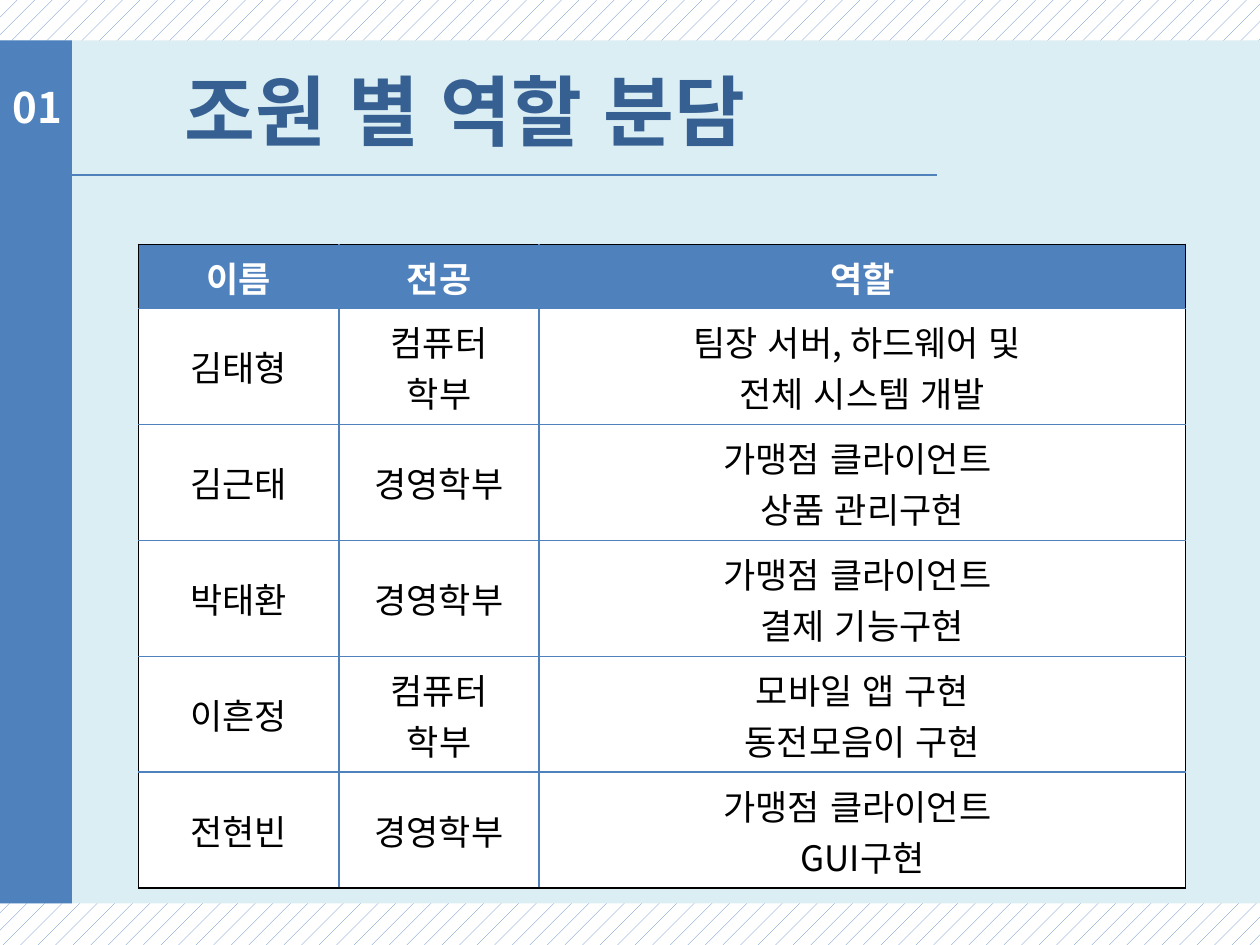
from typing import NamedTuple

from lxml.etree import SubElement
from pptx import Presentation
from pptx.dml.color import RGBColor
from pptx.enum.dml import MSO_PATTERN
from pptx.enum.lang import MSO_LANGUAGE_ID
from pptx.enum.shapes import MSO_CONNECTOR, MSO_SHAPE
from pptx.enum.text import MSO_ANCHOR, PP_ALIGN
from pptx.oxml.ns import qn
from pptx.slide import Slide
from pptx.table import _Cell
from pptx.text.text import TextFrame
from pptx.util import Inches, Pt

FONT = "Noto Sans CJK KR"
BLUE = RGBColor(0x4F, 0x81, 0xBD)
NAVY = RGBColor(0x37, 0x60, 0x92)
PALE = RGBColor(0xDB, 0xEE, 0xF4)
WHITE = RGBColor(0xFF, 0xFF, 0xFF)
BLACK = RGBColor(0, 0, 0)


class Box(NamedTuple):
    left: float
    top: float
    width: float
    height: float

    def lengths(self) -> list[Inches]:
        return [Inches(value) for value in self]


class Member(NamedTuple):
    name: str
    major: str
    role: str


HEADER = Member("이름", "전공", "역할")
MEMBERS = [
    Member("김태형", "컴퓨터\n학부", "팀장 서버, 하드웨어 및 \n전체 시스템 개발"),
    Member("김근태", "경영학부", "가맹점 클라이언트 \n상품 관리구현"),
    Member("박태환", "경영학부", "가맹점 클라이언트 \n결제 기능구현"),
    Member("이흔정", "컴퓨터\n학부", "모바일 앱 구현\n동전모음이 구현"),
    Member("전현빈", "경영학부", "가맹점 클라이언트 \nGUI구현"),
]
COLUMN_WIDTHS = [1.59, 1.59, 5.13]
ROW_HEIGHTS = [0.51] + [0.92] * len(MEMBERS)


def write(frame: TextFrame, text: str, size: int, color: RGBColor,
          bold: bool, align: PP_ALIGN) -> None:
    frame.text = text
    for paragraph in frame.paragraphs:
        paragraph.alignment = align
        font = paragraph.font
        font.name, font.size, font.bold = FONT, Pt(size), bold
        font.language_id = MSO_LANGUAGE_ID.KOREAN
        font.color.rgb = color
        # Hangul takes its typeface from the East Asian font
        SubElement(font._element, qn("a:ea"), typeface=FONT)


def add_panel(slide: Slide, box: Box, color: RGBColor) -> None:
    panel = slide.shapes.add_shape(MSO_SHAPE.RECTANGLE, *box.lengths())
    panel.shadow.inherit = False
    panel.fill.solid()
    panel.fill.fore_color.rgb = color
    panel.line.fill.background()


def add_rule(slide: Slide, start: float, end: float, y: float) -> None:
    rule = slide.shapes.add_connector(
        MSO_CONNECTOR.STRAIGHT, Inches(start), Inches(y), Inches(end), Inches(y))
    rule.line.color.rgb = BLUE
    rule.line.width = Pt(1)
    SubElement(rule._element.spPr, qn("a:effectLst"))


def add_label(slide: Slide, box: Box, text: str, size: int, color: RGBColor,
              align: PP_ALIGN, anchor: MSO_ANCHOR) -> None:
    frame = slide.shapes.add_textbox(*box.lengths()).text_frame
    frame.word_wrap = True
    frame.vertical_anchor = anchor
    write(frame, text, size, color, True, align)


def set_borders(cell: _Cell, outer: dict[str, bool]) -> None:
    """Draw black on the table's outer edges and blue on the inner ones."""
    properties = cell._tc.get_or_add_tcPr()
    for side, is_outer in outer.items():
        line = SubElement(properties, qn(f"a:ln{side}"), w=str(Pt(1)))
        fill = SubElement(line, qn("a:solidFill"))
        SubElement(fill, qn("a:srgbClr"), val=str(BLACK if is_outer else BLUE))


def add_role_table(slide: Slide, box: Box) -> None:
    records = [HEADER, *MEMBERS]
    last_row, last_column = len(records) - 1, len(COLUMN_WIDTHS) - 1
    table = slide.shapes.add_table(
        len(records), len(COLUMN_WIDTHS), *box.lengths()).table
    table.horz_banding = False
    for column, width in zip(table.columns, COLUMN_WIDTHS):
        column.width = Inches(width)
    for row, height in zip(table.rows, ROW_HEIGHTS):
        row.height = Inches(height)
    for r, record in enumerate(records):
        is_header = r == 0
        for c, text in enumerate(record):
            cell = table.cell(r, c)
            set_borders(cell, {"L": c == 0, "R": c == last_column,
                               "T": is_header, "B": r == last_row})
            cell.fill.solid()
            cell.fill.fore_color.rgb = BLUE if is_header else WHITE
            cell.vertical_anchor = MSO_ANCHOR.MIDDLE
            cell.margin_left = cell.margin_right = Inches(0.11)
            cell.margin_top = cell.margin_bottom = Inches(0.06)
            write(cell.text_frame, text, 20, WHITE if is_header else BLACK,
                  is_header, PP_ALIGN.CENTER)


def main() -> None:
    deck = Presentation()
    deck.slide_width, deck.slide_height = Inches(10), Inches(7.5)
    slide = deck.slides.add_slide(deck.slide_layouts[6])
    backdrop = slide.background.fill
    backdrop.patterned()
    backdrop.pattern = MSO_PATTERN.PERCENT_5
    backdrop.fore_color.rgb = BLUE
    backdrop.back_color.rgb = WHITE

    add_panel(slide, Box(0, 0.32, 10, 6.85), PALE)
    add_rule(slide, 0.28, 7.44, 1.39)
    add_panel(slide, Box(-0.02, 0.32, 0.59, 6.85), BLUE)
    add_label(slide, Box(0.59, 0.35, 6.38, 1.04), "조원 별 역할 분담 ", 44, NAVY,
              PP_ALIGN.CENTER, MSO_ANCHOR.MIDDLE)
    add_role_table(slide, Box(1.1, 1.94, sum(COLUMN_WIDTHS), sum(ROW_HEIGHTS)))
    add_label(slide, Box(0, 0.6, 0.67, 0.5), "01", 24, WHITE,
              PP_ALIGN.LEFT, MSO_ANCHOR.TOP)
    deck.save("out.pptx")


if __name__ == "__main__":
    main()
